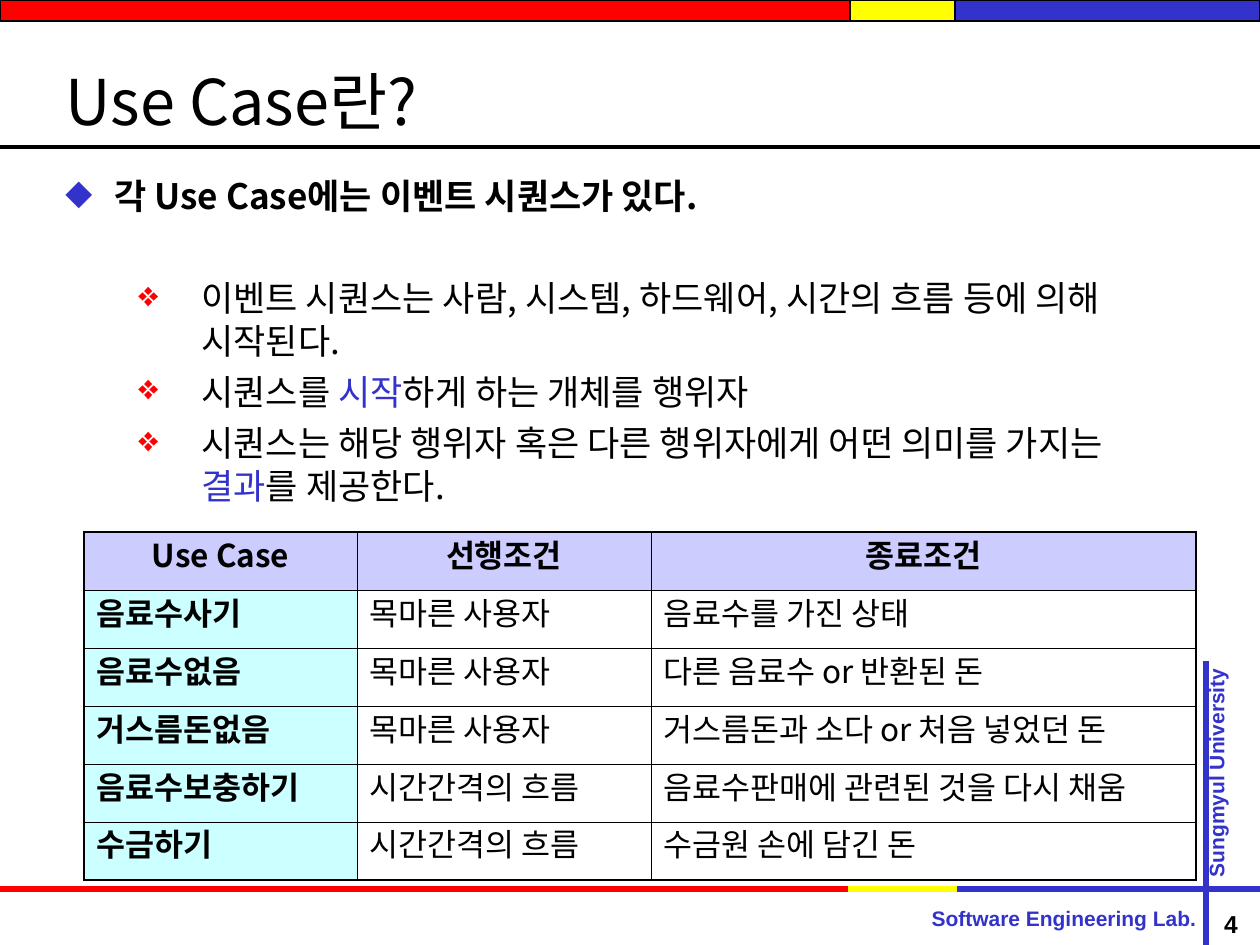
from dataclasses import dataclass

from lxml.etree import SubElement
from pptx import Presentation
from pptx.dml.color import RGBColor
from pptx.enum.shapes import MSO_CONNECTOR, MSO_SHAPE
from pptx.enum.text import MSO_ANCHOR, PP_ALIGN
from pptx.oxml.ns import qn
from pptx.util import Emu, Pt


@dataclass(frozen=True)
class Theme:
    black: str = "000000"
    red: str = "FF0000"
    yellow: str = "FFFF00"
    blue: str = "3333CC"
    header: str = "CCCCFF"
    label: str = "CCFFFF"
    font: str = "Noto Sans CJK KR"
    footer_font: str = "Arial"
    title_size: int = 36
    body_size: int = 20
    table_size: int = 18
    number_size: int = 14
    footer_size: int = 12
    thin: float = 0.45
    outline: float = 1.08


THEME = Theme()
WIDTH, HEIGHT = 1260, 945

TITLE = "Use Case란?"
HEADLINE = "각 Use Case에는 이벤트 시퀀스가 있다."
POINTS = [
    [("이벤트 시퀀스는 사람, 시스템, 하드웨어, 시간의 흐름 등에 의해 시작된다.", THEME.black)],
    [("시퀀스를 ", THEME.black), ("시작", THEME.blue), ("하게 하는 개체를 행위자", THEME.black)],
    [
        ("시퀀스는 해당 행위자 혹은 다른 행위자에게 어떤 의미를 가지는 ", THEME.black),
        ("결과", THEME.blue),
        ("를 제공한다.", THEME.black),
    ],
]
ROWS = [
    ("Use Case", "선행조건", "종료조건"),
    ("음료수사기", "목마른 사용자", "음료수를 가진 상태"),
    ("음료수없음", "목마른 사용자", "다른 음료수 or 반환된 돈"),
    ("거스름돈없음", "목마른 사용자", "거스름돈과 소다 or 처음 넣었던 돈"),
    ("음료수보충하기", "시간간격의 흐름", "음료수판매에 관련된 것을 다시 채움"),
    ("수금하기", "시간간격의 흐름", "수금원 손에 담긴 돈"),
]
COLUMNS = (273, 294, 545)
ROW_HEIGHT = 58
TOP_BARS = [(0, 850, THEME.red), (850, 955, THEME.yellow), (955, WIDTH, THEME.blue)]
LINES = [
    (0, 147, WIDTH, 147, THEME.black, 2.25),
    (0, 889, 848, 889, THEME.red, 3),
    (848, 889, 957, 889, THEME.yellow, 3),
    (957, 889, WIDTH, 889, THEME.blue, 3),
    (1206, 661, 1206, HEIGHT, THEME.blue, 3),
]


def px(value):
    return Emu(round(value * 914400 / 126))


def color(code):
    return RGBColor.from_string(code)


def set_font(font, name, size, code, bold=False):
    font.name, font.size, font.bold = name, Pt(size), bold
    font.color.rgb = color(code)
    east_asian = SubElement(font._element, qn("a:ea"))
    east_asian.set("typeface", name)


def add_text_box(page, left, top, width, height, anchor=MSO_ANCHOR.TOP):
    box = page.shapes.add_textbox(px(left), px(top), px(width), px(height))
    box.text_frame.word_wrap = True
    box.text_frame.vertical_anchor = anchor
    return box.text_frame


def add_footer(page, text, place, size, code, anchor, vertical=False):
    frame = add_text_box(page, *place, anchor)
    frame.margin_left = frame.margin_right = 0
    frame.margin_top = frame.margin_bottom = 0
    if vertical:
        frame._txBody.bodyPr.set("vert", "vert270")
    para = frame.paragraphs[0]
    para.text, para.alignment = text, PP_ALIGN.CENTER
    set_font(para.font, THEME.footer_font, size, code, True)


def add_bullet(para, spans, mark, mark_color, left, hanging, before, bold=False):
    para.space_before, para.line_spacing = Pt(before), Pt(24.3)
    properties = para._p.get_or_add_pPr()
    properties.set("marL", str(px(left)))
    properties.set("indent", str(-px(hanging)))
    SubElement(SubElement(properties, qn("a:buClr")), qn("a:srgbClr")).set("val", mark_color)
    SubElement(properties, qn("a:buChar")).set("char", mark)
    for text, code in spans:
        span = para.add_run()
        span.text = text
        set_font(span.font, THEME.font, THEME.body_size, code, bold)


def set_borders(cell, widths):
    properties = cell._tc.get_or_add_tcPr()
    for index, (side, width) in enumerate(zip("LRTB", widths)):
        line = properties.makeelement(qn(f"a:ln{side}"), {"w": str(Pt(width))})
        fill = SubElement(line, qn("a:solidFill"))
        SubElement(fill, qn("a:srgbClr")).set("val", THEME.black)
        properties.insert(index, line)


def add_use_case_table(page):
    last_row, last_column = len(ROWS) - 1, len(COLUMNS) - 1
    table = page.shapes.add_table(
        len(ROWS), len(COLUMNS), px(84), px(532), px(sum(COLUMNS)), px(ROW_HEIGHT * len(ROWS))
    ).table
    table.first_row = table.horz_banding = False
    for column, width in zip(table.columns, COLUMNS):
        column.width = px(width)
    for r, row in enumerate(ROWS):
        table.rows[r].height = px(ROW_HEIGHT)
        for c, text in enumerate(row):
            cell = table.cell(r, c)
            if r == 0 or c == 0:
                cell.fill.solid()
                cell.fill.fore_color.rgb = color(THEME.label if r else THEME.header)
            else:
                cell.fill.background()
            para = cell.text_frame.paragraphs[0]
            para.text = text
            para.alignment = PP_ALIGN.LEFT if r else PP_ALIGN.CENTER
            para.space_before, para.line_spacing = Pt(4.5), Pt(21.6)
            set_font(para.font, THEME.font, THEME.table_size, THEME.black, r == 0 or c == 0)
            edges = (c == 0, c == last_column, r == 0, r == last_row)
            set_borders(cell, [THEME.outline if edge else THEME.thin for edge in edges])


def main():
    deck = Presentation()
    deck.slide_width, deck.slide_height = px(WIDTH), px(HEIGHT)
    page = deck.slides.add_slide(deck.slide_layouts[6])

    for start, end, code in TOP_BARS:
        bar = page.shapes.add_shape(MSO_SHAPE.RECTANGLE, px(start), 0, px(end - start), px(21))
        bar.shadow.inherit = False
        bar.fill.solid()
        bar.fill.fore_color.rgb = color(code)
        bar.line.color.rgb = color(THEME.black)
        bar.line.width = Pt(0.75)

    for *ends, code, width in LINES:
        rule = page.shapes.add_connector(MSO_CONNECTOR.STRAIGHT, *map(px, ends))
        rule.line.color.rgb = color(code)
        rule.line.width = Pt(width)
        SubElement(rule._element.spPr, qn("a:effectLst"))

    add_footer(page, "4", (1208, 907, 46, 34), THEME.number_size, THEME.black, MSO_ANCHOR.MIDDLE)
    add_footer(page, "Software Engineering Lab.", (919, 906, 290, 26),
               THEME.footer_size, THEME.blue, MSO_ANCHOR.TOP)
    add_footer(page, "Sungmyul University", (1196, 661, 40, 224),
               THEME.footer_size, THEME.blue, MSO_ANCHOR.MIDDLE, True)

    title = add_text_box(page, 53, 42, 1155, 116, MSO_ANCHOR.MIDDLE).paragraphs[0]
    title.text = TITLE
    set_font(title.font, THEME.font, THEME.title_size, THEME.black)

    body = add_text_box(page, 53, 168, 1155, 714)
    add_bullet(body.paragraphs[0], [(HEADLINE, THEME.black)], "◆", THEME.blue, 49, 49, 5, True)
    for index, spans in enumerate(POINTS):
        before = 5 if index else 34
        add_bullet(body.add_paragraph(), spans, "❖", THEME.red, 136, 63, before)

    add_use_case_table(page)
    deck.save("out.pptx")


if __name__ == "__main__":
    main()
